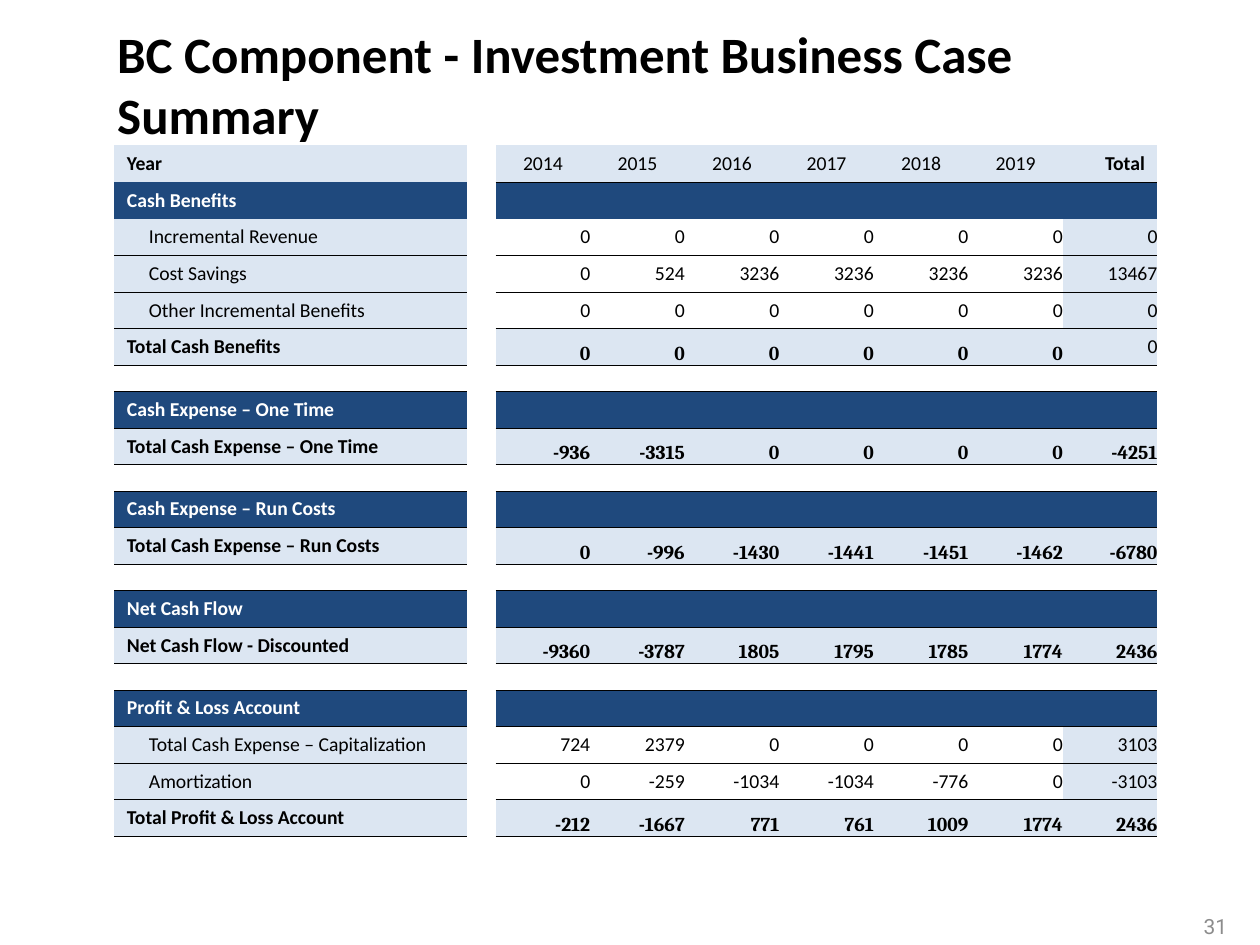
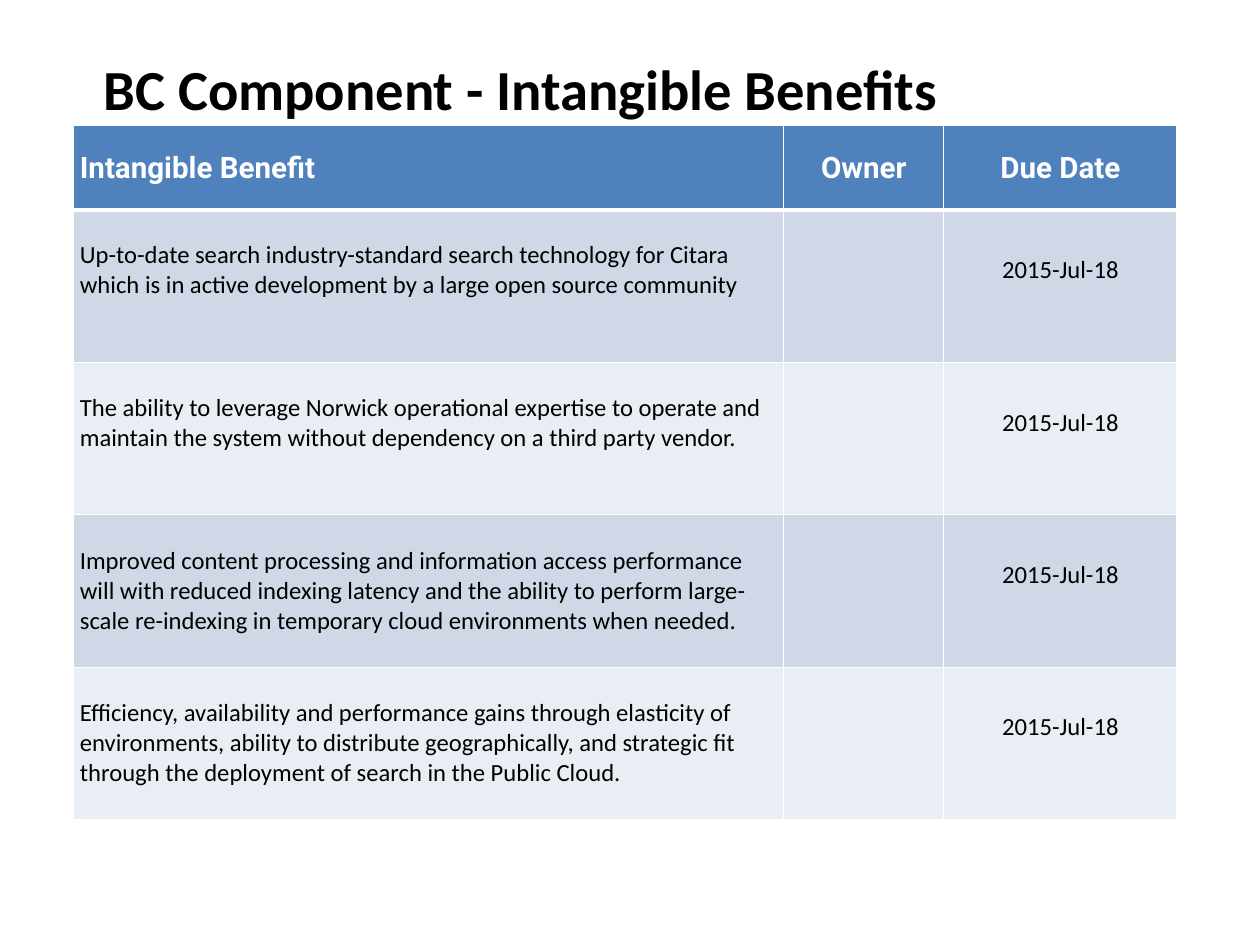
from lxml import etree
from pptx import Presentation
from pptx.dml.color import RGBColor
from pptx.enum import text
from pptx.oxml import ns
from pptx.util import Cm, Pt

BLACK = RGBColor(0, 0, 0)
WHITE = RGBColor(0xFF, 0xFF, 0xFF)
GREY = RGBColor(0x8C, 0x8C, 0x8C)
NAVY = RGBColor(0x1F, 0x49, 0x7D)
PALE = RGBColor(0xDC, 0xE6, 0xF2)
BLUE = RGBColor(0x4F, 0x81, 0xBD)
BANDS = RGBColor(0xD0, 0xD8, 0xE8), RGBColor(0xE9, 0xED, 0xF4)

LEFT, CENTER, RIGHT = text.PP_ALIGN.LEFT, text.PP_ALIGN.CENTER, text.PP_ALIGN.RIGHT
TOP, MIDDLE, BOTTOM = text.MSO_ANCHOR.TOP, text.MSO_ANCHOR.MIDDLE, text.MSO_ANCHOR.BOTTOM

PAD = (0.36, 0.18, 0.36, 0.18)
INDENT = (0.99, 0.18, 0.36, 0.18)
NO_PAD = (0, 0, 0, 0)

YEARS = [2014, 2015, 2016, 2017, 2018, 2019, "Total"]
SUMMARY = [
    ("head", "Year", YEARS),
    ("band", "Cash Benefits", []),
    ("item", "Incremental Revenue", [0, 0, 0, 0, 0, 0, 0]),
    ("item", "Cost Savings", [0, 524, 3236, 3236, 3236, 3236, 13467]),
    ("item", "Other Incremental Benefits", [0, 0, 0, 0, 0, 0, 0]),
    ("total, plain end", "Total Cash Benefits", [0, 0, 0, 0, 0, 0, 0]),
    ("gap", "", []),
    ("band", "Cash Expense – One Time", []),
    ("total", "Total Cash Expense – One Time", [-936, -3315, 0, 0, 0, 0, -4251]),
    ("gap", "", []),
    ("band", "Cash Expense – Run Costs", []),
    ("total", "Total Cash Expense – Run Costs",
     [0, -996, -1430, -1441, -1451, -1462, -6780]),
    ("gap", "", []),
    ("band", "Net Cash Flow", []),
    ("total", "Net Cash Flow - Discounted",
     [-9360, -3787, 1805, 1795, 1785, 1774, 2436]),
    ("gap", "", []),
    ("band", "Profit & Loss Account", []),
    ("item", "Total Cash Expense – Capitalization", [724, 2379, 0, 0, 0, 0, 3103]),
    ("item", "Amortization", [0, -259, -1034, -1034, -776, 0, -3103]),
    ("total", "Total Profit & Loss Account",
     [-212, -1667, 771, 761, 1009, 1774, 2436]),
]

DUE = "2015-Jul-18"
BENEFITS = [
    ("Up-to-date search industry-standard search technology for Citara "
     "which is in active development by a large open source community", 1.0),
    ("The ability to leverage Norwick operational expertise to operate and "
     "maintain the system without dependency on a third party vendor.", 1.0),
    ("Improved content processing and information access performance will with "
     "reduced indexing latency and the ability to perform large-scale re-indexing "
     "in temporary cloud environments when needed.", 0.1),
    ("Efficiency, availability and performance gains through elasticity of "
     "environments, ability to distribute geographically, and strategic fit "
     "through the deployment of search in the Public Cloud.", 0.1),
]


def write(tf, words, size, color=BLACK, bold=False, font="Calibri", align=LEFT):
    """Put one formatted run into the first paragraph of a text frame."""
    p = tf.paragraphs[0]
    p.alignment = align
    r = p.add_run()
    r.text = str(words)
    r.font.size, r.font.bold, r.font.name = Pt(size), bold, font
    r.font.color.rgb = color


def set_margins(box, margins):
    """Set left, top, right and bottom margins given in centimetres."""
    (box.margin_left, box.margin_top,
     box.margin_right, box.margin_bottom) = map(Cm, margins)


def add_title(s, words, box, size, margins):
    """Place and format the title placeholder."""
    sp = s.shapes.title
    sp.left, sp.top, sp.width, sp.height = map(Cm, box)
    tf = sp.text_frame
    tf.word_wrap, tf.auto_size = True, text.MSO_AUTO_SIZE.NONE
    tf.vertical_anchor = MIDDLE
    set_margins(tf, margins)
    write(tf, words, size, bold=True)


def add_page_number(s, number, box):
    """Add the page number at the lower right."""
    tf = s.shapes.add_textbox(*map(Cm, box)).text_frame
    tf.word_wrap, tf.vertical_anchor = True, MIDDLE
    set_margins(tf, PAD)
    write(tf, number, 17, GREY, font="Roboto", align=RIGHT)


def add_grid(s, left, top, widths, heights):
    """Add a plain table with the given column widths and row heights."""
    frame = s.shapes.add_table(len(heights), len(widths), Cm(left), Cm(top),
                               Cm(sum(widths)), Cm(sum(heights)))
    table = frame.table
    table.first_row = table.horz_banding = False
    for column, width in zip(table.columns, widths):
        column.width = Cm(width)
    for row, height in zip(table.rows, heights):
        row.height = Cm(height)
    return table


def style_cell(cell, fill, margins, anchor, borders, color):
    """Set fill, margins, anchor and the left, right, top, bottom border widths."""
    set_margins(cell, margins)
    cell.vertical_anchor = anchor
    pr = cell._tc.get_or_add_tcPr()
    for side, width in zip("LRTB", borders):
        ln = etree.SubElement(pr, ns.qn(f"a:ln{side}"), w=str(Pt(width)))
        if width:
            solid = etree.SubElement(ln, ns.qn("a:solidFill"))
            etree.SubElement(solid, ns.qn("a:srgbClr"), val=str(color))
        else:
            etree.SubElement(ln, ns.qn("a:noFill"))
    if fill is None:
        cell.fill.background()
    else:
        cell.fill.solid()
        cell.fill.fore_color.rgb = fill


def summary_line(row, col):
    """Return the width of the line below a summary cell."""
    if row < 0 or col == 1 or row == 1 or (row, col) == (0, 0):
        return 0
    return 1.5 if row == len(SUMMARY) - 1 else 0.5


def summary_look(kind, col):
    """Return fill, margins, anchor and text format of a summary cell."""
    last = col == len(YEARS) + 1
    if kind == "gap" or col == 1:
        return None, NO_PAD, TOP, {}
    if kind == "band":
        return NAVY, PAD if col == 0 else NO_PAD, TOP, dict(color=WHITE, bold=True)
    if col == 0:
        item = kind == "item"
        return PALE, INDENT if item else PAD, TOP, dict(bold=not item)
    if kind == "head":
        if last:
            return PALE, PAD, TOP, dict(bold=True, align=RIGHT)
        return PALE, NO_PAD, MIDDLE, dict(align=CENTER)
    if kind == "item" or (last and kind == "total, plain end"):
        return PALE if last else None, NO_PAD, MIDDLE, dict(align=RIGHT)
    return PALE, NO_PAD, BOTTOM, dict(bold=True, font="Cambria", align=RIGHT)


def add_summary(s, left, top):
    """Add the business case table."""
    widths = [10.12, 0.81] + [2.71] * len(YEARS)
    heights = [0.75 if kind == "gap" else 1.05 for kind, *_ in SUMMARY]
    table = add_grid(s, left, top, widths, heights)
    for row, (kind, label, values) in enumerate(SUMMARY):
        entries = [label, "", *values]
        for col in range(len(widths)):
            cell = table.cell(row, col)
            fill, margins, anchor, form = summary_look(kind, col)
            borders = 0, 0, summary_line(row - 1, col), summary_line(row, col)
            style_cell(cell, fill, margins, anchor, borders, BLACK)
            words = entries[col] if col < len(entries) else ""
            if words != "":
                write(cell.text_frame, words, 16, **form)
            else:
                p = cell.text_frame.paragraphs[0]
                etree.SubElement(p._p, ns.qn("a:endParaRPr"), sz="1000")
        if kind == "band":
            table.cell(row, 2).merge(table.cell(row, len(widths) - 1))


def add_benefits(s, left, top):
    """Add the table of intangible benefits."""
    heights = [2.41] + [4.37] * len(BENEFITS)
    table = add_grid(s, left, top, [20.35, 4.6, 6.68], heights)
    aligns = LEFT, CENTER, CENTER
    heads = "Intangible Benefit", "Owner", "Due Date"
    for col, (words, align) in enumerate(zip(heads, aligns)):
        cell = table.cell(0, col)
        style_cell(cell, BLUE, (0.18, 0.1, 0.18, 0.1), MIDDLE, (1, 1, 1, 3), WHITE)
        write(cell.text_frame, words, 24, WHITE, True, "Roboto", align)
    for row, (benefit, below) in enumerate(BENEFITS, 1):
        entries = (benefit, below), ("", 0.1), (DUE, 1.0)
        for col, ((words, bottom), align) in enumerate(zip(entries, aligns)):
            cell = table.cell(row, col)
            borders = 1, 1, 3 if row == 1 else 1, 1
            style_cell(cell, BANDS[(row - 1) % 2], (0.18, 0.1, 0.18, bottom),
                       MIDDLE, borders, WHITE)
            if words:
                write(cell.text_frame, words, 20, align=align)


def build_summary_slide(prs):
    """Build the investment summary slide."""
    s = prs.slides.add_slide(prs.slide_layouts[5])
    add_title(s, "BC Component - Investment Business Case Summary",
              (3, 1.02, 30.15, 2.77), 41.4, PAD)
    add_summary(s, 3.28, 4.17)
    add_page_number(s, 31, (24.69, 26.11, 10.85, 0.91))


def build_benefits_slide(prs):
    """Build the intangible benefits slide."""
    s = prs.slides.add_slide(prs.slide_layouts[5])
    add_title(s, "BC Component - Intangible Benefits",
              (2.72, 1.19, 30.1, 2.72), 46, (0.25, 0.13, 0.25, 0.18))
    add_benefits(s, 2.11, 3.61)


def main():
    """Build and save the presentation."""
    prs = Presentation()
    prs.slide_width, prs.slide_height = Cm(36.12), Cm(27.1)
    build_summary_slide(prs)
    build_benefits_slide(prs)
    prs.save("out.pptx")


if __name__ == "__main__":
    main()
